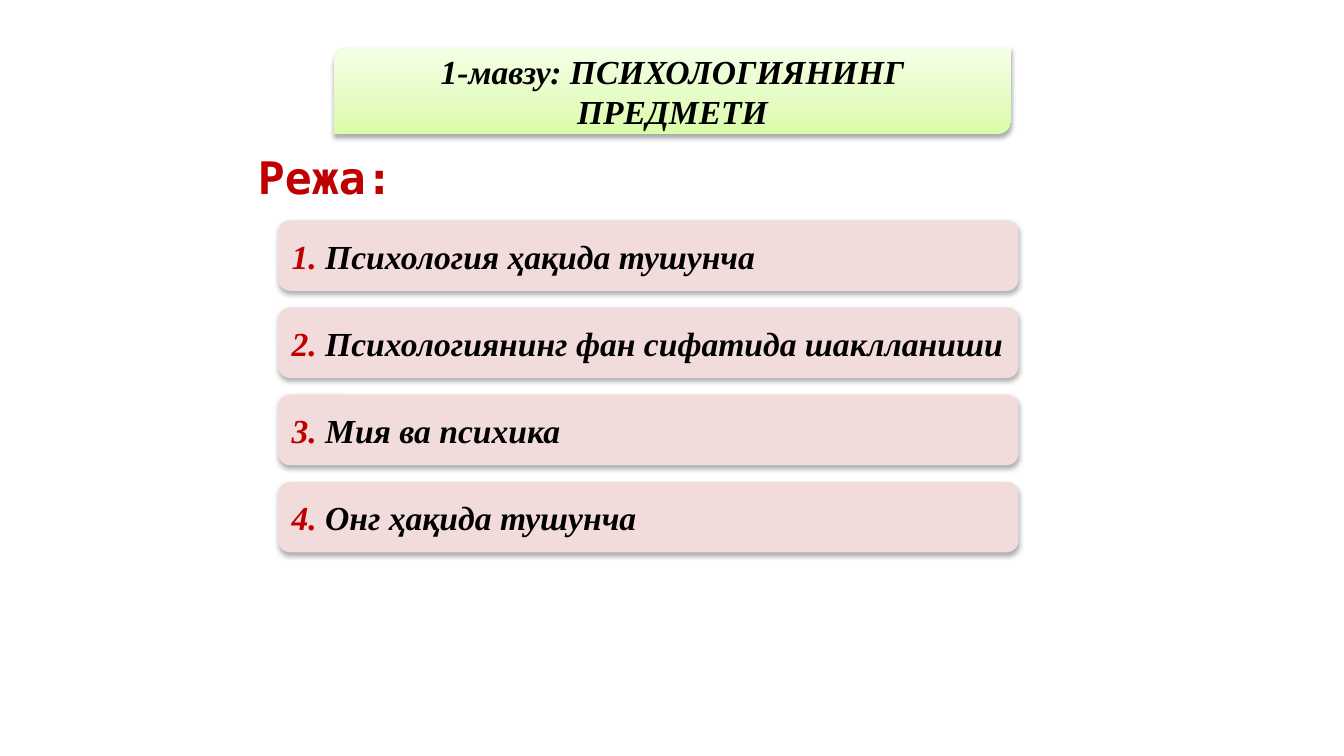
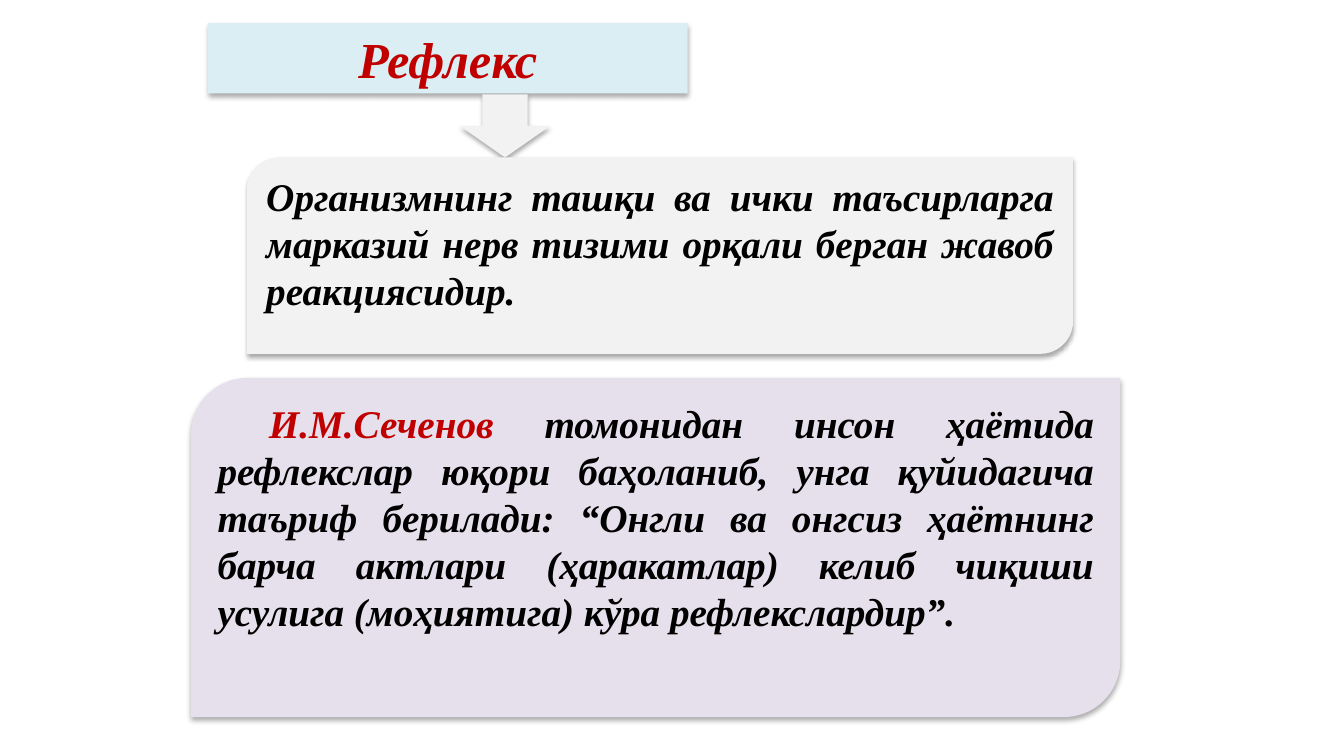
"""Build two lecture slides on the subject of psychology."""
from dataclasses import dataclass

from lxml.etree import SubElement
from pptx import Presentation
from pptx.dml.color import RGBColor
from pptx.enum.shapes import MSO_SHAPE
from pptx.enum.text import MSO_ANCHOR, MSO_AUTO_SIZE, PP_ALIGN
from pptx.oxml.ns import qn
from pptx.shapes.base import BaseShape
from pptx.slide import Slide
from pptx.util import Pt

PX = 9525
SERIF = "Times New Roman"
MONO = "DejaVu Sans Mono"
COLORS = {
    "black": "000000", "red": "C00000", "rose": "F2DCDB", "sky": "DBEEF4",
    "gray": "F2F2F2", "lilac": "E6E0EC",
    "lime": "DAFDA7", "mint": "E4FCC2", "pale": "F5FFE7",
}
BLEND = ((0, "lime"), (35, "mint"), (100, "pale"))


@dataclass(frozen=True)
class Box:
    """A place on the slide in px."""
    left: int
    top: int
    width: int
    height: int


@dataclass(frozen=True)
class Style:
    """The look of one block of text."""
    size: int
    align: PP_ALIGN = PP_ALIGN.LEFT
    anchor: MSO_ANCHOR = MSO_ANCHOR.MIDDLE
    font: str = SERIF
    slant: bool = True
    indent: int = 0


@dataclass(frozen=True)
class Part:
    """A run of text in one colour."""
    text: str
    color: str = "black"


ITEM = Style(24)
BANNER = Style(24, PP_ALIGN.CENTER)
PLAN = Style(32, PP_ALIGN.CENTER, font=MONO, slant=False)
TOPIC = Style(36, PP_ALIGN.CENTER)
PROSE = Style(28, PP_ALIGN.JUSTIFY, MSO_ANCHOR.TOP)
QUOTE = Style(28, PP_ALIGN.JUSTIFY, MSO_ANCHOR.TOP, indent=49)

FIRST = Box(265, 210, 705, 67)
STEP = 83
ITEMS = (
    "Психология ҳақида тушунча",
    "Психологиянинг фан сифатида шаклланиши",
    "Мия ва психика",
    "Онг ҳақида тушунча",
)


def tint(name: str) -> RGBColor:
    """Look up a colour by name."""
    return RGBColor.from_string(COLORS[name])


def place(shape: BaseShape, box: Box) -> None:
    """Move and size a shape."""
    shape.left, shape.top = box.left * PX, box.top * PX
    shape.width, shape.height = box.width * PX, box.height * PX


def shade(shape: BaseShape) -> None:
    """Give a shape the shared soft shadow."""
    shape.shadow.inherit = False
    effects = shape._element.spPr.find(qn("a:effectLst"))
    outer = SubElement(effects, qn("a:outerShdw"), blurRad=str(Pt(3.5)),
                       dist=str(Pt(2.2)), dir="5400000", rotWithShape="0")
    color = SubElement(outer, qn("a:srgbClr"), val=COLORS["black"])
    SubElement(color, qn("a:alpha"), val="32000")


def paint(shape: BaseShape, color: str) -> None:
    """Fill a shape, drop its line and add the shadow."""
    shape.fill.solid()
    shape.fill.fore_color.rgb = tint(color)
    shape.line.fill.background()
    shade(shape)


def blend(shape: BaseShape) -> None:
    """Fill a shape with the green gradient, rising from its base."""
    shape.fill.gradient()
    shape.fill.gradient_angle = 90
    stops = shape._element.spPr.find(f".//{qn('a:gsLst')}")
    stops.clear()
    for spot, name in BLEND:
        stop = SubElement(stops, qn("a:gs"), pos=str(spot * 1000))
        SubElement(stop, qn("a:srgbClr"), val=COLORS[name])


def write(shape: BaseShape, style: Style, *parts: Part) -> None:
    """Write coloured runs into a shape."""
    frame = shape.text_frame
    frame.word_wrap = True
    frame.auto_size = MSO_AUTO_SIZE.NONE
    frame.vertical_anchor = style.anchor
    line = frame.paragraphs[0]
    line.alignment = style.align
    if style.indent:
        line._p.get_or_add_pPr().set("indent", str(style.indent * PX))
    for part in parts:
        run = line.add_run()
        run.text = part.text
        run.font.name = style.font
        run.font.size = Pt(style.size)
        run.font.bold = True
        run.font.italic = style.slant
        run.font.color.rgb = tint(part.color)


def draw(slide: Slide, kind: MSO_SHAPE, box: Box, color: str) -> BaseShape:
    """Add a filled preset shape."""
    shape = slide.shapes.add_shape(kind, 0, 0, 0, 0)
    place(shape, box)
    paint(shape, color)
    return shape


def head(slide: Slide, box: Box, style: Style, text: str) -> BaseShape:
    """Place and format the slide title."""
    title = slide.shapes.title
    place(title, box)
    write(title, style, Part(text, "red"))
    return title


def outline(slide: Slide) -> None:
    """Draw the lecture plan."""
    banner = draw(slide, MSO_SHAPE.ROUND_2_DIAG_RECTANGLE, Box(318, 45, 645, 83), "lime")
    blend(banner)
    write(banner, BANNER, Part("1-мавзу: ПСИХОЛОГИЯНИНГ ПРЕДМЕТИ"))
    head(slide, Box(235, 142, 150, 53), PLAN, "Режа:")
    for rank, text in enumerate(ITEMS):
        box = Box(FIRST.left, FIRST.top + rank * STEP, FIRST.width, FIRST.height)
        row = draw(slide, MSO_SHAPE.ROUNDED_RECTANGLE, box, "rose")
        write(row, ITEM, Part(f"{rank + 1}. ", "red"), Part(text))


def reflex(slide: Slide) -> None:
    """Draw the meaning of reflex and the quote."""
    paint(head(slide, Box(198, 22, 457, 67), TOPIC, "Рефлекс"), "sky")
    draw(slide, MSO_SHAPE.DOWN_ARROW, Box(438, 90, 86, 60), "gray")
    sense = draw(slide, MSO_SHAPE.ROUND_2_DIAG_RECTANGLE, Box(235, 150, 787, 187), "gray")
    write(sense, PROSE, Part(
        "Организмнинг ташқи ва ички таъсирларга марказий нерв тизими "
        "орқали берган жавоб реакциясидир."))
    quote = draw(slide, MSO_SHAPE.ROUND_2_DIAG_RECTANGLE, Box(182, 360, 885, 323), "lilac")
    write(quote, QUOTE, Part("И.М.Сеченов", "red"), Part(
        " томонидан инсон ҳаётида рефлекслар юқори баҳоланиб, унга "
        "қуйидагича таъриф берилади: “Онгли ва онгсиз ҳаётнинг барча "
        "актлари (ҳаракатлар) келиб чиқиши усулига (моҳиятига) кўра "
        "рефлекслардир”."))


def main() -> None:
    """Build and save the deck."""
    deck = Presentation()
    deck.slide_width, deck.slide_height = 1280 * PX, 720 * PX
    for build in (outline, reflex):
        build(deck.slides.add_slide(deck.slide_layouts[5]))
    deck.save("out.pptx")


if __name__ == "__main__":
    main()
